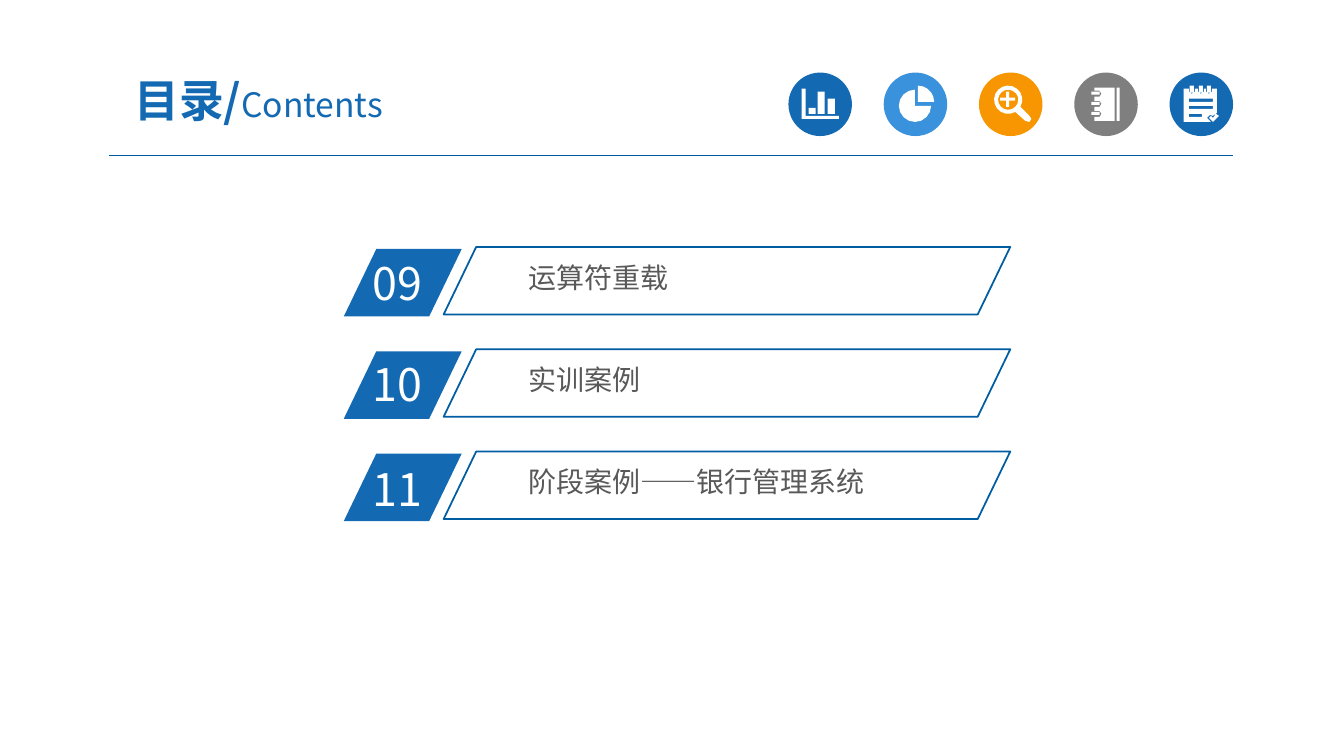
from dataclasses import dataclass
from math import cos, radians, sin

from lxml.etree import SubElement
from pptx import Presentation
from pptx.dml.color import RGBColor as RGB
from pptx.enum.shapes import MSO_CONNECTOR, MSO_SHAPE as SHAPE
from pptx.enum.text import MSO_ANCHOR as ANCHOR, MSO_AUTO_SIZE as FIT, PP_ALIGN as ALIGN
from pptx.oxml.ns import qn
from pptx.util import Inches, Pt


@dataclass(frozen=True)
class Theme:
    """Colours, type sizes and font of the slide."""
    blue: str = "1369B2"
    sky: str = "3992DB"
    orange: str = "F79600"
    grey: str = "7F7F7F"
    outline: str = "005DA2"
    rule: str = "005B9E"
    text: str = "595959"
    white: str = "FFFFFF"
    font: str = "Noto Sans CJK SC"
    heading: int = 32
    subheading: int = 24
    label: int = 20


THEME = Theme()
SLANT = 0.482
UNITS = 1000


def bar(left, top, width, height):
    """Return the corners of a rectangle."""
    right, bottom = left + width, top + height
    return [(left, top), (right, top), (right, bottom), (left, bottom)]


def arc(x, y, radius, start, end, steps):
    """Return points along a clockwise arc given in degrees."""
    angles = [radians(start + (end - start) * step / steps) for step in range(steps + 1)]
    return [(x + radius * cos(angle), y + radius * sin(angle)) for angle in angles]


def chart_glyph():
    """Outline the axes and the three bars."""
    axes = [(0.13, 0.16), (0.17, 0.16), (0.17, 0.43), (0.5, 0.43), (0.5, 0.46), (0.13, 0.46)]
    return [axes, bar(0.2, 0.35, 0.07, 0.06), bar(0.29, 0.19, 0.07, 0.22),
            bar(0.39, 0.26, 0.07, 0.15)]


def pie_glyph():
    """Outline the pie and its loose quarter."""
    return [[(0.31, 0.33)] + arc(0.31, 0.33, 0.16, 0, 270, 12),
            [(0.34, 0.29)] + arc(0.34, 0.29, 0.16, -90, 0, 5)]


def magnifier_glyph():
    """Outline the lens with its handle and plus sign."""
    handle = [(0.5, 0.43), (0.52, 0.46), (0.5, 0.49), (0.46, 0.48)]
    plus = [(0.27, 0.19), (0.3, 0.19), (0.3, 0.25), (0.36, 0.25), (0.36, 0.28), (0.3, 0.28),
            (0.3, 0.34), (0.27, 0.34), (0.27, 0.28), (0.21, 0.28), (0.21, 0.25), (0.27, 0.25)]
    return [arc(0.29, 0.27, 0.14, 60, 390, 16) + handle,
            arc(0.29, 0.27, 0.1, 0, 345, 15), plus]


def notebook_glyph():
    """Outline the cover, spine and rings."""
    cover = [(0.4, 0.48), (0.4, 0.15), (0.2, 0.15)]
    rings = []
    for y in (0.21, 0.31, 0.41):
        cover += [(0.2, y - 0.03), (0.25, y - 0.03), (0.27, y), (0.25, y + 0.03), (0.2, y + 0.03)]
        rings.append(bar(0.17, y - 0.02, 0.08, 0.03))
    return [cover + [(0.2, 0.48)], bar(0.42, 0.15, 0.03, 0.33), *rings]


def notepad_glyph():
    """Outline the page, binding, written lines and tick."""
    page, pins = [(0.14, 0.16)], []
    for x in (0.22, 0.31, 0.39):
        page += [(x - 0.03, 0.16), (x - 0.03, 0.19), (x, 0.21), (x + 0.03, 0.19), (x + 0.03, 0.16)]
        pins.append(bar(x - 0.02, 0.13, 0.04, 0.07))
    page += [(0.47, 0.16), (0.47, 0.4), (0.43, 0.43), (0.4, 0.42), (0.37, 0.45),
             (0.41, 0.49), (0.14, 0.49)]
    lines = [bar(0.19, y, width, 0.03) for y, width in ((0.26, 0.24), (0.33, 0.24), (0.41, 0.13))]
    tick = [(0.39, 0.45), (0.41, 0.43), (0.43, 0.45), (0.46, 0.41), (0.49, 0.43), (0.43, 0.49)]
    return [page, *pins, *lines, tick]


ICONS = [(THEME.blue, chart_glyph()), (THEME.sky, pie_glyph()),
         (THEME.orange, magnifier_glyph()), (THEME.grey, notebook_glyph()),
         (THEME.blue, notepad_glyph())]
CHAPTERS = [("09", "运算符重载", 0.02), ("10", "实训案例", 0),
            ("11", "阶段案例——银行管理系统", 0.03)]


def paint(form, color=None, outline=None):
    """Give a shape a flat fill and an optional outline."""
    form.shadow.inherit = False
    if color:
        form.fill.solid()
        form.fill.fore_color.rgb = RGB.from_string(color)
    else:
        form.fill.background()
    if outline:
        form.line.color.rgb = RGB.from_string(outline)
        form.line.width = Pt(1.25)
    else:
        form.line.fill.background()


def add_form(slide, kind, left, top, width, height, color=None, outline=None):
    """Add a preset shape, slanted when it is a parallelogram."""
    form = slide.shapes.add_shape(kind, *map(Inches, (left, top, width, height)))
    if kind == SHAPE.PARALLELOGRAM:
        form.adjustments[0] = SLANT
    paint(form, color, outline)


def add_glyph(slide, left, top, contours):
    """Draw the contours of an icon as one white outline shape."""
    placed = [[((left + x) * UNITS, (top + y) * UNITS) for x, y in contour]
              for contour in contours]
    pen = slide.shapes.build_freeform(*placed[0][0], scale=Inches(1) / UNITS)
    for index, contour in enumerate(placed):
        if index:
            pen.move_to(*contour[0])
        pen.add_line_segments(contour[1:], close=True)
    paint(pen.convert_to_shape(), THEME.white)


def add_words(paragraph, words, size, color, bold=False):
    """Append a formatted run for Chinese and Latin text."""
    run = paragraph.add_run()
    run.text = words
    style = {"name": THEME.font, "size": Pt(size), "bold": bold}
    for key, value in style.items():
        setattr(run.font, key, value)
    run.font.color.rgb = RGB.from_string(color)
    SubElement(run.font._element, qn("a:ea"), typeface=THEME.font)


def set_frame(frame, side, edge, **settings):
    """Set margins in inches and other text frame settings."""
    margins = {"margin_left": Inches(side), "margin_right": Inches(side),
               "margin_top": Inches(edge), "margin_bottom": Inches(edge), "word_wrap": True}
    for key, value in (margins | settings).items():
        setattr(frame, key, value)


def add_label(slide, left, top, width, height, words, size, color, side, edge):
    """Add a text box with one line of words."""
    frame = slide.shapes.add_textbox(*map(Inches, (left, top, width, height))).text_frame
    set_frame(frame, side, edge)
    add_words(frame.paragraphs[0], words, size, color)


def build_title(slide, left, top, width, height):
    """Place the bilingual heading in the title placeholder."""
    title = slide.shapes.title
    box = {"left": left, "top": top, "width": width, "height": height}
    for key, value in box.items():
        setattr(title, key, Inches(value))
    set_frame(title.text_frame, 0.13, 0.07, vertical_anchor=ANCHOR.MIDDLE, auto_size=FIT.NONE)
    heading = title.text_frame.paragraphs[0]
    heading.alignment = ALIGN.CENTER
    add_words(heading, "目录/", THEME.heading, THEME.blue, bold=True)
    add_words(heading, "Contents", THEME.subheading, THEME.blue)


def build_rule(slide, left, top, width):
    """Draw the thin line under the header."""
    rule = slide.shapes.add_connector(
        MSO_CONNECTOR.STRAIGHT, *map(Inches, (left, top, left + width, top)))
    rule.line.color.rgb = RGB.from_string(THEME.rule)
    rule.line.width = Pt(0.75)
    SubElement(rule._element.spPr, qn("a:effectLst"))


def build_icons(slide, left, top, width, height):
    """Spread the round icons evenly over the box."""
    pitch = (width - height) / (len(ICONS) - 1)
    for index, (color, contours) in enumerate(ICONS):
        x = left + index * pitch
        add_form(slide, SHAPE.OVAL, x, top, height, height, color)
        add_glyph(slide, x, top, contours)


def build_chapter(slide, left, top, width, height, number, name, drop):
    """Place one chapter: slanted number tile and outlined name."""
    add_form(slide, SHAPE.PARALLELOGRAM, left, top + 0.02, 1.17, height, THEME.blue)
    add_label(slide, left + 0.19, top + 0.02 + drop, 1.12, 0.64, number,
              THEME.heading, THEME.white, 0.1, 0.05)
    add_label(slide, left + 1.76, top + 0.09, 4.12, 0.41, name,
              THEME.label, THEME.text, 0.07, 0.04)
    add_form(slide, SHAPE.PARALLELOGRAM, left + 0.99, top, width - 0.99, height,
             outline=THEME.outline)


def build_chapters(slide, left, top, width, height, row=0.67):
    """Spread the chapters evenly down the box."""
    pitch = (height - row) / (len(CHAPTERS) - 1)
    for index, chapter in enumerate(CHAPTERS):
        build_chapter(slide, left, top + index * pitch, width, row, *chapter)


def main():
    """Build the contents slide and save it."""
    deck = Presentation()
    deck.slide_width, deck.slide_height = Inches(13.33), Inches(7.5)
    slide = deck.slides.add_slide(deck.slide_layouts[5])
    build_rule(slide, 1.08, 1.54, 11.15)
    build_icons(slide, 7.82, 0.72, 4.41, 0.63)
    build_title(slide, 0.92, 0.63, 3.29, 0.72)
    build_chapters(slide, 3.41, 2.45, 6.61, 2.7)
    deck.save("out.pptx")


if __name__ == "__main__":
    main()
